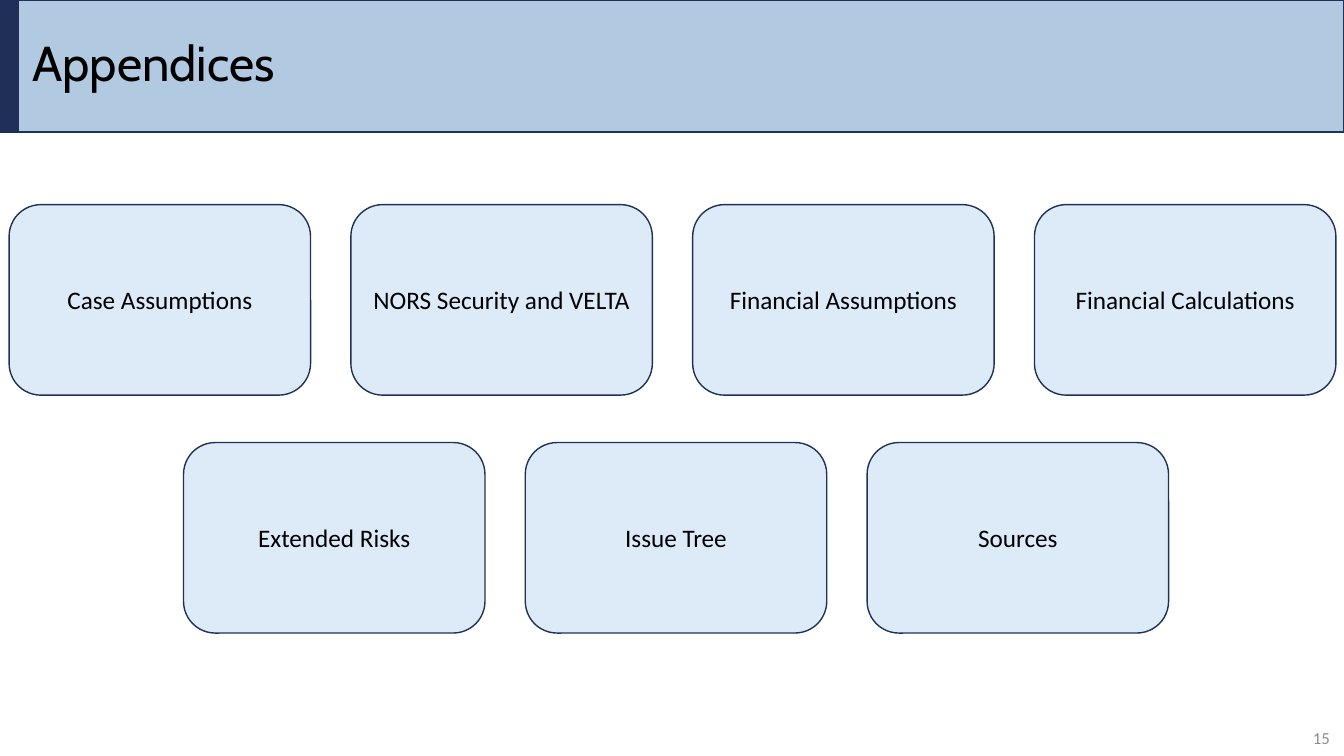
from lxml.etree import SubElement
from pptx import Presentation
from pptx.dml.color import RGBColor
from pptx.enum.shapes import MSO_SHAPE
from pptx.enum.text import MSO_ANCHOR, MSO_AUTO_SIZE, PP_ALIGN
from pptx.oxml.ns import qn
from pptx.util import Inches, Pt

BAND_BLUE = RGBColor(0x60, 0x91, 0xC3)
ACCENT_NAVY = RGBColor(0x1F, 0x2F, 0x57)
OUTLINE_NAVY = RGBColor(0x1E, 0x32, 0x56)
CARD_BLUE = RGBColor(0xDD, 0xEA, 0xF8)
BLACK = RGBColor(0, 0, 0)
GREY = RGBColor(0x8C, 0x8C, 0x8C)

# Lengths in inches
PAGE_WIDTH, PAGE_HEIGHT = 13.33, 7.5
HEADER_HEIGHT, ACCENT_WIDTH = 1.31, 0.18
CARD_WIDTH, CARD_HEIGHT = 2.99, 1.89
COLUMN_STEP, ROW_STEP = 3.39, 2.36
CARDS_TOP = 2.03

# Each row: left edge and labels
CARD_ROWS = [
    (0.09, ["Case Assumptions", "NORS Security and VELTA",
            "Financial Assumptions", "Financial Calculations"]),
    (1.82, ["Extended Risks", "Issue Tree", "Sources"]),
]


def write_text(shape, text, size, font="Calibri", color=BLACK,
               align=PP_ALIGN.LEFT, spacing=1.0):
    frame = shape.text_frame
    frame.word_wrap = True
    frame.auto_size = MSO_AUTO_SIZE.NONE
    frame.vertical_anchor = MSO_ANCHOR.MIDDLE
    para = frame.paragraphs[0]
    para.alignment = align
    para.line_spacing = spacing
    span = para.add_run()
    span.text = text
    span.font.size = Pt(size)
    span.font.name = font
    span.font.color.rgb = color


def add_box(page, kind, left, top, width, height, fill, line):
    box = page.shapes.add_shape(kind, Inches(left), Inches(top),
                                Inches(width), Inches(height))
    box.shadow.inherit = False
    box.fill.solid()
    box.fill.fore_color.rgb = fill
    box.line.color.rgb = line
    box.line.width = Pt(1)
    return box


def set_opacity(box, percent):
    color = box.element.spPr.find(qn("a:solidFill"))[0]
    SubElement(color, qn("a:alpha")).set("val", str(percent * 1000))


def add_header(page, text):
    band = add_box(page, MSO_SHAPE.RECTANGLE, ACCENT_WIDTH, 0,
                   PAGE_WIDTH - ACCENT_WIDTH, HEADER_HEIGHT,
                   BAND_BLUE, OUTLINE_NAVY)
    set_opacity(band, 49)
    add_box(page, MSO_SHAPE.RECTANGLE, 0, 0, ACCENT_WIDTH, HEADER_HEIGHT,
            ACCENT_NAVY, ACCENT_NAVY)
    title = page.shapes.title
    title.left, title.top = Inches(0.22), 0
    title.width, title.height = Inches(11.5), Inches(HEADER_HEIGHT)
    write_text(title, text, 35, font="Cabin", spacing=0.9)
    # Bring the title in front of the band
    page.shapes.element.append(title.element)


def add_cards(page):
    for row, (left, labels) in enumerate(CARD_ROWS):
        for column, label in enumerate(labels):
            card = add_box(page, MSO_SHAPE.ROUNDED_RECTANGLE,
                           left + column * COLUMN_STEP,
                           CARDS_TOP + row * ROW_STEP,
                           CARD_WIDTH, CARD_HEIGHT, CARD_BLUE, OUTLINE_NAVY)
            write_text(card, label, 18, align=PP_ALIGN.CENTER)


def add_page_number(page, number):
    box = page.shapes.add_textbox(Inches(12.76), Inches(7.12),
                                  Inches(0.53), Inches(0.4))
    write_text(box, number, 12, color=GREY, align=PP_ALIGN.RIGHT)


def main():
    deck = Presentation()
    deck.slide_width = Inches(PAGE_WIDTH)
    deck.slide_height = Inches(PAGE_HEIGHT)
    page = deck.slides.add_slide(deck.slide_layouts.get_by_name("Title Only"))
    add_header(page, "Appendices")
    add_cards(page)
    add_page_number(page, "15")
    deck.save("out.pptx")


if __name__ == "__main__":
    main()
